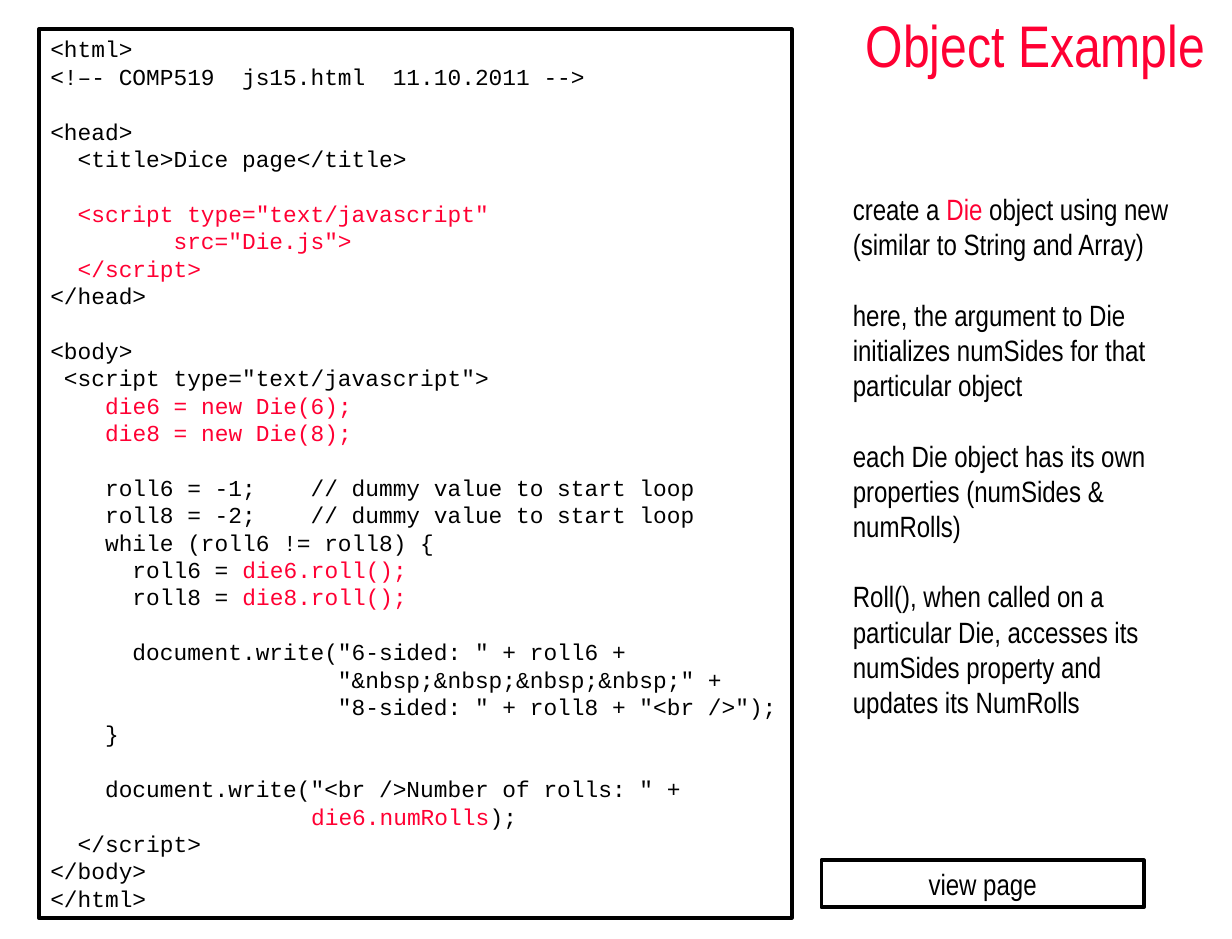
from pptx import Presentation
from pptx.dml.color import RGBColor
from pptx.enum.shapes import MSO_SHAPE
from pptx.enum.text import MSO_ANCHOR, MSO_AUTO_SIZE, PP_ALIGN
from pptx.util import Inches, Pt

BLACK = RGBColor(0, 0, 0)
RED = RGBColor(0xFF, 0, 0x33)
PX = Inches(0.01)  # 100 px to the inch
NARROW = "Arial Narrow"

CODE = """<html>
<!–- COMP519  js15.html  11.10.2011 -->

<head>
  <title>Dice page</title>

|  <script type="text/javascript"|
|         src="Die.js">|
|  </script>|
</head>

<body>
 <script type="text/javascript">
    |die6 = new Die(6);|
    |die8 = new Die(8);|

    roll6 = -1;    // dummy value to start loop
    roll8 = -2;    // dummy value to start loop
    while (roll6 != roll8) {
      roll6 =| die6.roll();|
      roll8 =| die8.roll();|

      document.write("6-sided: " + roll6 +
                     "&nbsp;&nbsp;&nbsp;&nbsp;" +
                     "8-sided: " + roll8 + "<br />");
    }

    document.write("<br />Number of rolls: " +
                   |die6.numRolls|);
  </script>
</body>
</html>"""

NOTES = """create a |Die| object using new (similar to String and Array)

here, the argument to Die initializes numSides for that particular object

each Die object has its own properties (numSides & numRolls)

Roll(), when called on a particular Die, accesses its numSides property and updates its NumRolls"""


def write(shape, text, font, size, align=PP_ALIGN.LEFT):
    """Fill shape with lines: bars enclose red parts, an empty line becomes a gap."""
    frame = shape.text_frame
    frame.word_wrap = True
    frame.auto_size = MSO_AUTO_SIZE.NONE
    frame.vertical_anchor = MSO_ANCHOR.TOP
    pitch = Pt(round(size * 1.2, 1))
    para, gap = frame.paragraphs[0], False
    for num, line in enumerate(text.split("\n")):
        if not line:
            gap = True
            continue
        if num:
            para = frame.add_paragraph()
        para.alignment = align
        para.line_spacing = pitch
        para.space_before = pitch if gap else Pt(0)
        gap = False
        for part, words in enumerate(line.split("|")):
            if words:
                run = para.add_run()
                run.text = words
                run.font.name = font
                run.font.size = Pt(size)
                run.font.color.rgb = RED if part % 2 else BLACK


def frame_box(*place):
    box = slide.shapes.add_shape(MSO_SHAPE.RECTANGLE, *(n * PX for n in place))
    box.shadow.inherit = False
    box.fill.background()
    box.line.color.rgb = BLACK
    box.line.width = Pt(2.25)
    return box


deck = Presentation()
deck.slide_width, deck.slide_height = 1050 * PX, 800 * PX
slide = deck.slides.add_slide(deck.slide_layouts[5])

# Title
title = slide.shapes.title
title.left, title.top, title.width, title.height = 715 * PX, 0, 335 * PX, 75 * PX
write(title, "|Object Example|", NARROW, 36, PP_ALIGN.CENTER)
title.text_frame.vertical_anchor = MSO_ANCHOR.MIDDLE

# Code listing
write(frame_box(33, 25, 642, 757), CODE, "Courier New", 14)

# Notes beside the code
notes = slide.shapes.add_textbox(717 * PX, 158 * PX, 300 * PX, 460 * PX)
write(notes, NOTES, NARROW, 18)

# Button
write(frame_box(700, 733, 275, 40), "view page", NARROW, 18, PP_ALIGN.CENTER)

deck.save("out.pptx")
